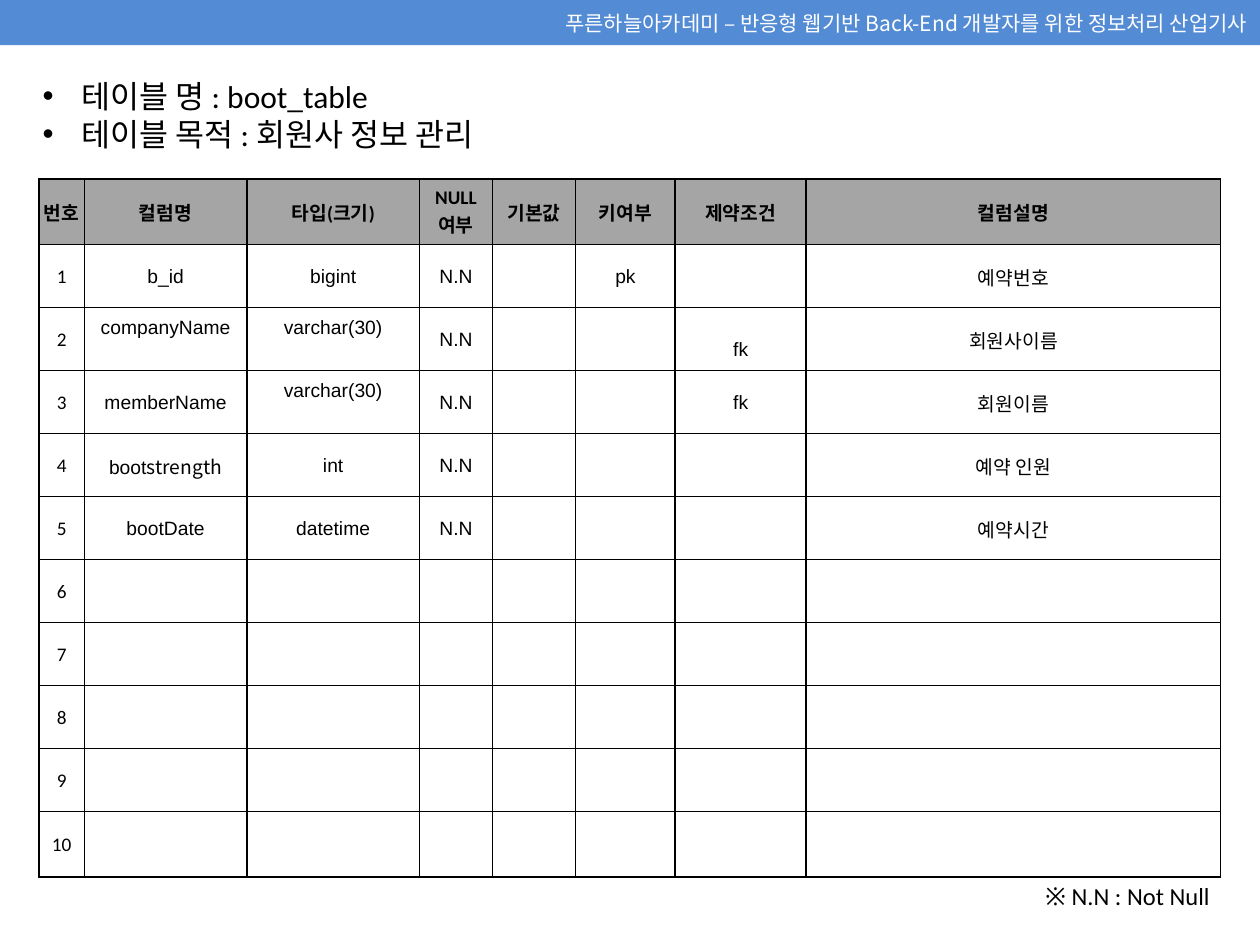
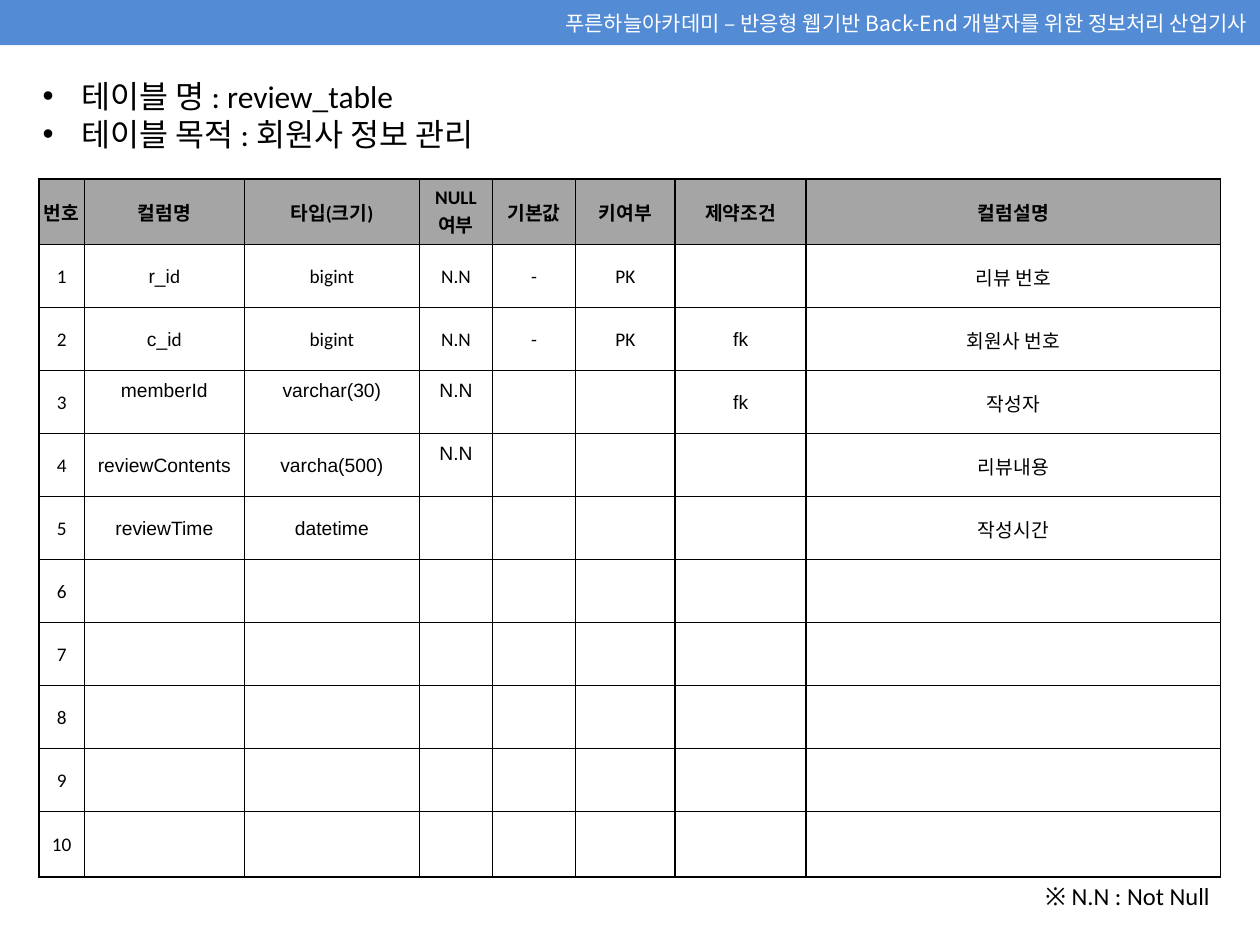
import pptx
import pptx.dml.color
import pptx.enum.shapes
import pptx.enum.text
import pptx.oxml.ns
import pptx.util
from dataclasses import dataclass
from lxml import etree

ALIGN = pptx.enum.text.PP_ALIGN
MIDDLE = pptx.enum.text.MSO_ANCHOR.MIDDLE
SCALE = 9144


@dataclass
class Theme:
    blue: str = "538CD5"
    gray: str = "A5A5A5"
    black: str = "000000"
    white: str = "FFFFFF"
    body: str = "Calibri"
    code: str = "Arial"
    asian: str = "Noto Sans CJK KR"
    plain: str = "Noto Sans CJK SC"
    band: int = 12
    lead: int = 18
    cell: int = 11
    note: int = 14
    rule: int = 1


def px(count):
    return pptx.util.Emu(count * SCALE)


def tint(code):
    return pptx.dml.color.RGBColor.from_string(code)


def put(item, values):
    for name, value in values.items():
        setattr(item, name, value)


def node(parent, tag, **attrs):
    return etree.SubElement(parent, pptx.oxml.ns.qn(tag), attrs)


class Deck:
    """Holds the theme and the current slide, and draws each kind of element."""

    def __init__(self, theme, width, height):
        self.theme = theme
        self.show = pptx.Presentation()
        put(self.show, {"slide_width": px(width), "slide_height": px(height)})
        self.slide = None

    def page(self):
        self.slide = self.show.slides.add_slide(self.show.slide_layouts[6])

    def words(self, para, runs, size, color, align, bold=False):
        para.alignment = align
        for text, face in runs:
            run = para.add_run()
            run.text = text
            put(run.font, {"size": pptx.util.Pt(size), "name": face, "bold": bold})
            run.font.color.rgb = tint(color)
            node(run.font._element, "a:ea", typeface=self.theme.asian)

    def band(self, box, text):
        look = self.theme
        bar = self.slide.shapes.add_shape(
            pptx.enum.shapes.MSO_SHAPE.RECTANGLE, *map(px, box))
        bar.shadow.inherit = False
        bar.fill.solid()
        bar.fill.fore_color.rgb = tint(look.blue)
        bar.line.fill.background()
        put(bar.text_frame, {"word_wrap": True, "vertical_anchor": MIDDLE})
        self.words(bar.text_frame.paragraphs[0], [(text, look.asian)],
                   look.band, look.white, ALIGN.RIGHT)

    def text(self, box, lines, size, align=ALIGN.LEFT, indent=0):
        look = self.theme
        frame = self.slide.shapes.add_textbox(*map(px, box)).text_frame
        put(frame, {"word_wrap": True,
                    "auto_size": pptx.enum.text.MSO_AUTO_SIZE.SHAPE_TO_FIT_TEXT})
        for spot, line in enumerate(lines):
            para = frame.add_paragraph() if spot else frame.paragraphs[0]
            self.words(para, [(line, look.body)], size, look.black, align)
            if indent:
                self.bullet(para, indent)

    def bullet(self, para, indent):
        props = para._p.get_or_add_pPr()
        props.set("marL", str(px(indent)))
        props.set("indent", str(-px(indent)))
        node(node(props, "a:buClr"), "a:srgbClr", val=self.theme.black)
        node(props, "a:buFont", typeface=self.theme.code)
        node(props, "a:buChar", char="•")

    def border(self, cell):
        props = cell._tc.get_or_add_tcPr()
        for spot, side in enumerate(("a:lnL", "a:lnR", "a:lnT", "a:lnB")):
            line = etree.Element(pptx.oxml.ns.qn(side),
                                 w=str(pptx.util.Pt(self.theme.rule)))
            node(node(line, "a:solidFill"), "a:srgbClr", val=self.theme.black)
            props.insert(spot, line)

    def cell(self, cell, value, face, head, margins):
        look = self.theme
        put(cell, {"margin_left": px(1), "margin_right": px(1),
                   "margin_top": px(1), "margin_bottom": 0,
                   "vertical_anchor": MIDDLE, **margins})
        if head:
            cell.fill.solid()
            cell.fill.fore_color.rgb = tint(look.gray)
        else:
            cell.fill.background()
        self.border(cell)
        runs = [(value, face)] if isinstance(value, str) else value
        if value:
            self.words(cell.text_frame.paragraphs[0], runs, look.cell,
                       look.black, ALIGN.CENTER, head)

    def table(self, left, top, cols, rows, data, shift):
        grid = self.slide.shapes.add_table(
            len(rows), len(cols), px(left), px(top),
            px(sum(cols)), px(sum(rows))).table
        put(grid, {"first_row": False, "horz_banding": False})
        for col, width in zip(grid.columns, cols):
            col.width = px(width)
        for row, height in zip(grid.rows, rows):
            row.height = px(height)
        for r, (face, values) in enumerate(data):
            for c, value in enumerate(values):
                side = shift.get((r, c))
                margins = {side: px(18)} if side else {}
                font = face if c else self.theme.body
                self.cell(grid.cell(r, c), value, font, r == 0, margins)


LOOK = Theme()
BODY, CODE = LOOK.body, LOOK.code
COUNT = 10
HEADS = ["번호", "컬럼명", "타입(크기)", "NULL 여부", "기본값", "키여부",
         "제약조건", "컬럼설명"]
ROWS = [52] + [50] * (COUNT - 1) + [52]
UP, DOWN = "margin_bottom", "margin_top"

TABLES = [
    {"name": "boot_table", "widths": [129, 137],
     "shift": {(2, 1): UP, (2, 2): UP, (2, 6): DOWN, (3, 2): UP},
     "fields": [
         (CODE, ["b_id", "bigint", "N.N", "", "pk", "", "예약번호"]),
         (CODE, ["companyName", "varchar(30)", "N.N", "", "", "fk", "회원사이름"]),
         (CODE, ["memberName", "varchar(30)", "N.N", "", "", "fk", "회원이름"]),
         (CODE, [[("boot", CODE), ("strength", LOOK.plain)], "int", "N.N",
                 "", "", "", "예약 인원"]),
         (CODE, ["bootDate", "datetime", "N.N", "", "", "", "예약시간"]),
     ]},
    {"name": "review_table", "widths": [127, 139],
     "shift": {(3, 1): UP, (3, 2): UP, (3, 3): UP, (4, 3): UP},
     "fields": [
         (BODY, [[("r_i", CODE), ("d", BODY)], "bigint", "N.N", "-", "PK", "",
                 [("리뷰", CODE), (" 번호", BODY)]]),
         (BODY, [[("c_i", CODE), ("d", BODY)], "bigint", "N.N", "-", "PK",
                 [("fk", CODE)],
                 [("회원", BODY), ("사", CODE), (" 번호", BODY)]]),
         (CODE, ["memberId", "varchar(30)", "N.N", "", "", "fk", "작성자"]),
         (CODE, ["reviewContents", "varcha(500)", "N.N", "", "", "", "리뷰내용"]),
         (CODE, ["reviewTime", "datetime", "", "", "", "", "작성시간"]),
     ]},
]


def main():
    deck = Deck(LOOK, 1000, 750)
    for item in TABLES:
        deck.page()
        deck.band((0, 0, 1000, 36),
                  "푸른하늘아카데미 – 반응형 웹기반 Back-End 개발자를 위한 정보처리 산업기사")
        deck.text((24, 56, 949, 71),
                  [f"테이블 명 : {item['name']}", "테이블 목적 : 회원사 정보 관리"],
                  LOOK.lead, indent=31)
        fields = item["fields"]
        blank = [(BODY, [""] * 7)] * (COUNT - len(fields))
        data = [(BODY, HEADS)] + [
            (face, [str(spot), *values])
            for spot, (face, values) in enumerate(fields + blank, 1)]
        cols = [36, *item["widths"], 58, 66, 79, 104, 329]
        deck.table(31, 142, cols, ROWS, data, item["shift"])
        deck.text((815, 694, 155, 34), ["※ N.N : Not Null"], LOOK.note, ALIGN.RIGHT)
    deck.show.save("out.pptx")


if __name__ == "__main__":
    main()
